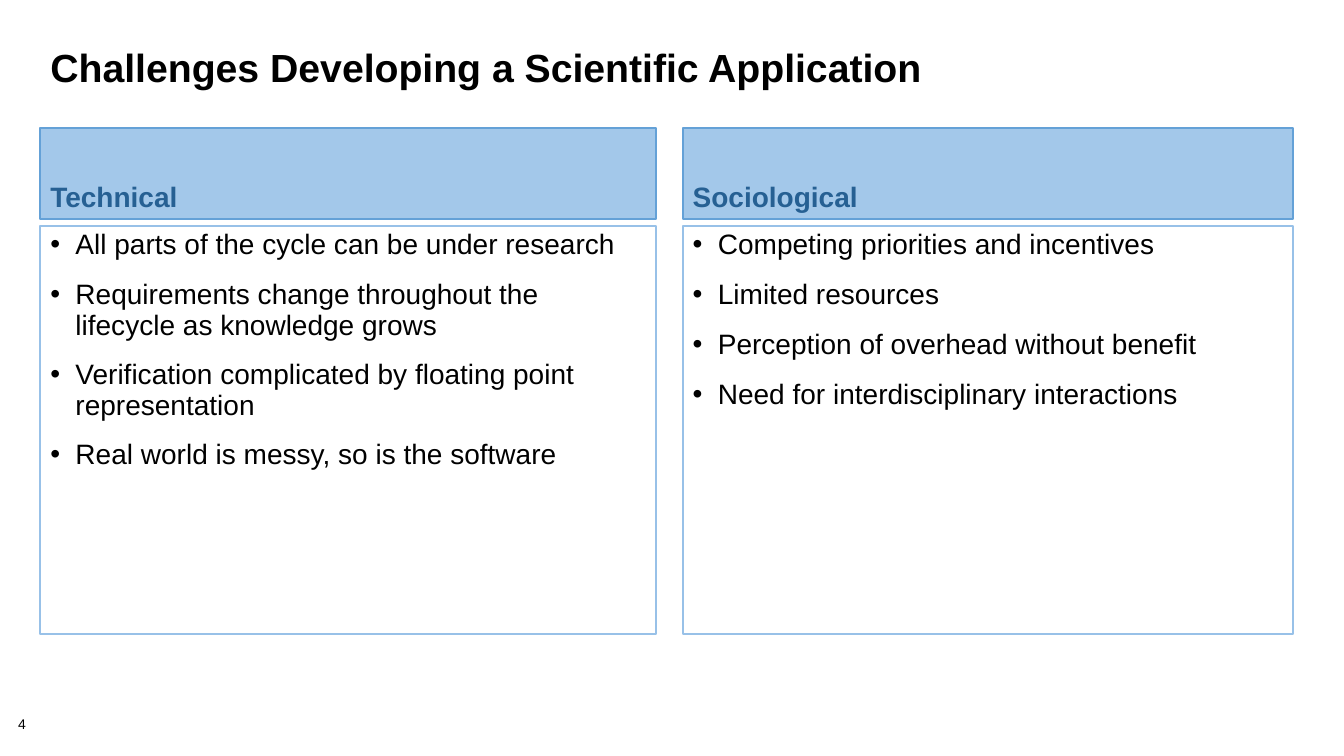
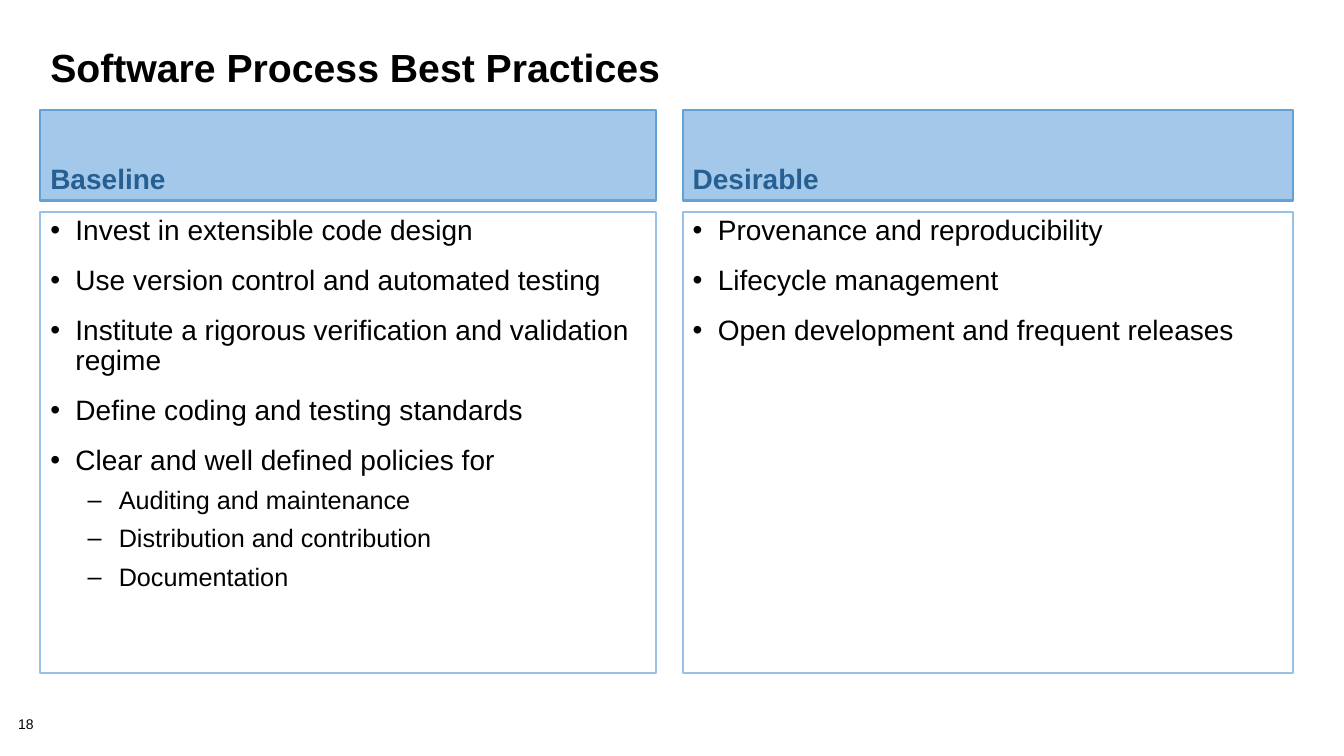
"""Build two slides that each compare two headed lists of points."""
from lxml.etree import SubElement
from pptx import Presentation
from pptx.dml.color import RGBColor
from pptx.enum.shapes import MSO_SHAPE as Shape
from pptx.enum.text import MSO_ANCHOR as Anchor, MSO_AUTO_SIZE as AutoSize, PP_ALIGN as Align
from pptx.oxml.ns import qn
from pptx.util import Inches, Pt

BLACK = RGBColor(0x00, 0x00, 0x00)
HEADING_TEXT = RGBColor(0x26, 0x60, 0x93)
HEADING_FILL = RGBColor(0xA3, 0xC8, 0xEA)
HEADING_LINE = RGBColor(0x64, 0xA1, 0xD7)
PANEL_LINE = RGBColor(0x98, 0xC1, 0xE8)
FONT = "Arial"
GRID = 100
LEFT_EDGE = 3
PANEL_COLUMNS = [(LEFT_EDGE, 45.8), (50.8, 45.4)]
HEADING_ROWS = 12
LEVELS = [
    dict(mark="•", indent=0.25, hang=0.25, size=20, before=14),
    dict(mark="–", indent=0.68, hang=0.31, size=18, before=8),
]


def write(paragraph, text, *, size, color=BLACK, bold=False, spacing=0.9,
          before=0, level=0, mark=None, indent=0, hang=0):
    paragraph.alignment = Align.LEFT
    paragraph.line_spacing = spacing
    paragraph.space_before = Pt(before)
    paragraph.level = level
    if mark:
        properties = paragraph._p.get_or_add_pPr()
        properties.set("marL", str(Inches(indent)))
        properties.set("indent", str(-Inches(hang)))
        bullet_color = SubElement(properties, qn("a:buClr"))
        SubElement(bullet_color, qn("a:srgbClr"), val=str(BLACK))
        SubElement(properties, qn("a:buFont"), typeface=FONT)
        SubElement(properties, qn("a:buChar"), char=mark)
    run = paragraph.add_run()
    run.text = text
    run.font.name = FONT
    run.font.size = Pt(size)
    run.font.bold = bold
    run.font.color.rgb = color


class Deck:
    def __init__(self):
        self.file = Presentation()
        self.file.slide_width = Inches(13.33)
        self.file.slide_height = Inches(7.5)
        self.slide = None

    def place(self, column, row, columns, rows):
        width, height = self.file.slide_width, self.file.slide_height
        return (int(width * column / GRID), int(height * row / GRID),
                int(width * columns / GRID), int(height * rows / GRID))

    def start(self, title, number):
        self.slide = self.file.slides.add_slide(self.file.slide_layouts[5])
        heading = self.slide.shapes.title
        heading.left, heading.top, heading.width, heading.height = self.place(
            LEFT_EDGE, 6, 93.32, 7.47)
        frame = heading.text_frame
        frame.auto_size = AutoSize.NONE
        frame.vertical_anchor = Anchor.TOP
        write(frame.paragraphs[0], title, size=28, bold=True, spacing=0.85)
        self.number(number)

    def number(self, number):
        frame = self.slide.shapes.add_textbox(
            *self.place(1.35, 94.93, 4.2, 2.13)).text_frame
        frame.word_wrap = True
        frame.margin_left = frame.margin_top = 0
        frame.margin_right = frame.margin_bottom = 0
        write(frame.paragraphs[0], str(number), size=10)

    def box(self, area, line, anchor, fill=None):
        box = self.slide.shapes.add_shape(Shape.RECTANGLE, *self.place(*area))
        box.shadow.inherit = False
        if fill is None:
            box.fill.background()
        else:
            box.fill.solid()
            box.fill.fore_color.rgb = fill
        box.line.color.rgb = line
        box.line.width = Pt(1.5)
        box.text_frame.word_wrap = True
        box.text_frame.vertical_anchor = anchor
        return box.text_frame

    def heading(self, text, area):
        frame = self.box(area, HEADING_LINE, Anchor.BOTTOM, HEADING_FILL)
        write(frame.paragraphs[0], text, size=20, bold=True, color=HEADING_TEXT)

    def points(self, points, area):
        frame = self.box(area, PANEL_LINE, Anchor.TOP)
        for index, (level, text) in enumerate(points):
            paragraph = frame.add_paragraph() if index else frame.paragraphs[0]
            style = dict(LEVELS[level])
            if not index:
                style["before"] = 0
            write(paragraph, text, level=level, **style)

    def comparison(self, panels, heading_row, points_row, points_rows):
        for (column, columns), (heading, points) in zip(PANEL_COLUMNS, panels):
            self.heading(heading, (column, heading_row, columns, HEADING_ROWS))
            self.points(points, (column, points_row, columns, points_rows))


def main():
    deck = Deck()

    deck.start("Challenges Developing a Scientific Application", 4)
    deck.comparison([
        ("Technical", [
            (0, "All parts of the cycle can be under research"),
            (0, "Requirements change throughout the lifecycle as knowledge grows"),
            (0, "Verification complicated by floating point representation"),
            (0, "Real world is messy, so is the software"),
        ]),
        ("Sociological", [
            (0, "Competing priorities and incentives"),
            (0, "Limited resources"),
            (0, "Perception of overhead without benefit"),
            (0, "Need for interdisciplinary interactions"),
        ]),
    ], heading_row=16.93, points_row=29.87, points_rows=54)

    deck.start("Software Process Best Practices", 18)
    deck.comparison([
        ("Baseline", [
            (0, "Invest in extensible code design"),
            (0, "Use version control and automated testing"),
            (0, "Institute a rigorous verification and validation regime"),
            (0, "Define coding and testing standards"),
            (0, "Clear and well defined policies for"),
            (1, "Auditing and maintenance"),
            (1, "Distribution and contribution"),
            (1, "Documentation"),
        ]),
        ("Desirable", [
            (0, "Provenance and reproducibility"),
            (0, "Lifecycle management"),
            (0, "Open development and frequent releases"),
        ]),
    ], heading_row=14.53, points_row=28, points_rows=61.07)

    deck.file.save("out.pptx")


if __name__ == "__main__":
    main()
